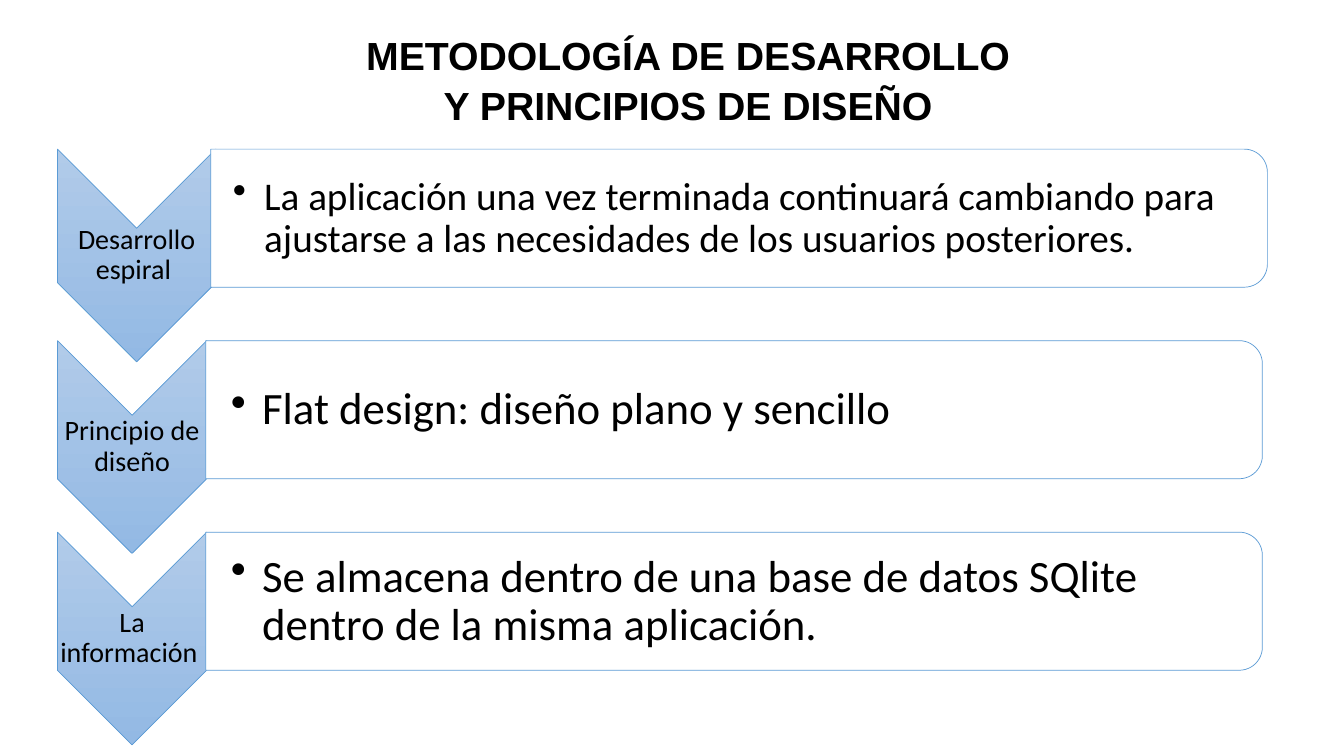
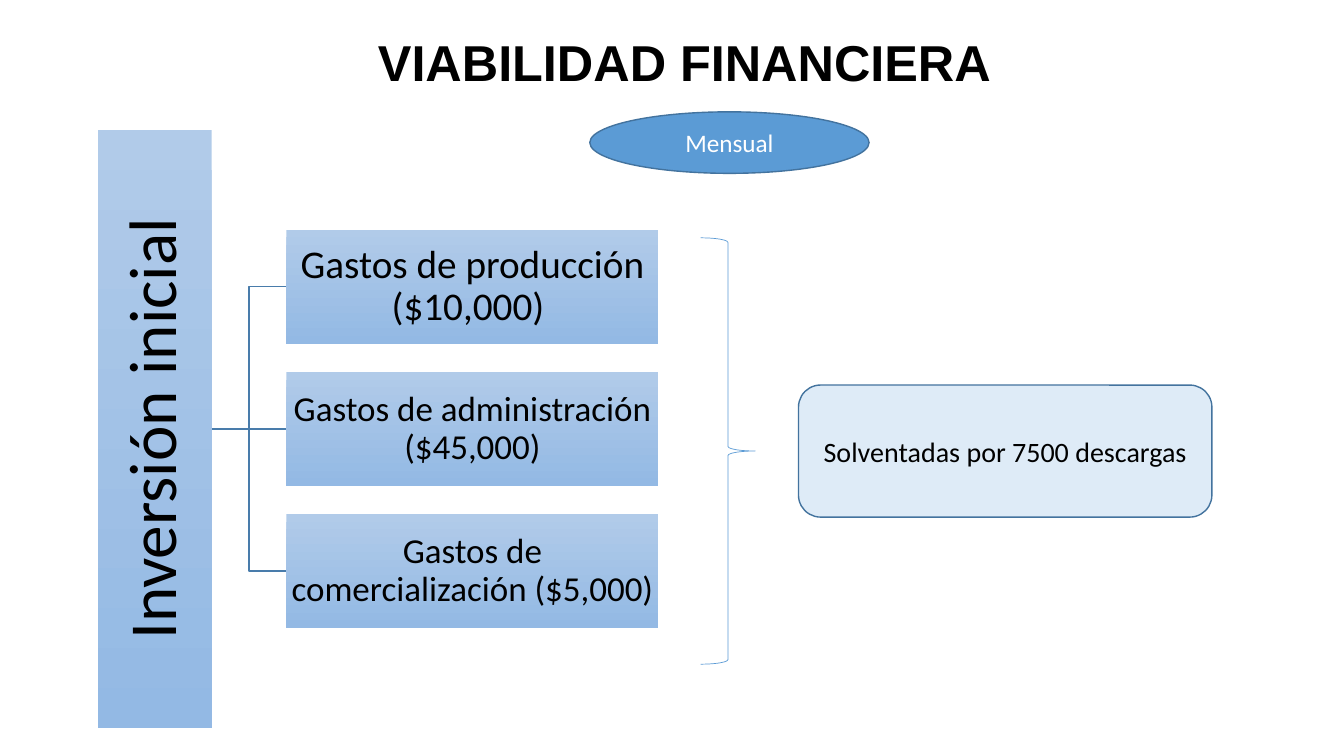
import pptx
import pptx.dml.color
import pptx.enum.shapes
import pptx.enum.text
import pptx.oxml.ns
import pptx.util
from dataclasses import dataclass
from lxml import etree

Inches = pptx.util.Inches
Pt = pptx.util.Pt
SHAPE = pptx.enum.shapes.MSO_SHAPE
LINK = pptx.enum.shapes.MSO_CONNECTOR
ALIGN = pptx.enum.text.PP_ALIGN
qn = pptx.oxml.ns.qn


@dataclass(frozen=True)
class Theme:
    heading: str = "Arial"
    body: str = "Calibri"
    text: str = "000000"
    white: str = "FFFFFF"
    accent: str = "5B9BD5"
    outline: str = "43739E"
    branch: str = "497CAB"
    pale: str = "DEEBF7"
    gradient: tuple = ("B1CBE9", "93B9E4")
    hairline: float = 0.5
    line: float = 1
    title_size: int = 36
    long_title_size: int = 28
    root_size: int = 48
    large: int = 32
    medium: int = 28
    compact: int = 25
    label: int = 20
    small: int = 18


class Deck:
    def __init__(self, theme):
        self.theme = theme
        self.prs = pptx.Presentation()
        self.prs.slide_width = Inches(13.33)
        self.prs.slide_height = Inches(7.5)
        self.s = None

    def color(self, value):
        return pptx.dml.color.RGBColor.from_string(value)

    def slide(self):
        self.s = self.prs.slides.add_slide(self.prs.slide_layouts[6])
        bg = self.s.background.fill
        bg.solid()
        bg.fore_color.rgb = self.color(self.theme.white)

    def label(self, sp, text, size, color=None, font=None, bold=False,
              align=ALIGN.CENTER, spacing=1.0, margins=None, wrap=True):
        tf = sp.text_frame
        tf.word_wrap = wrap
        tf.vertical_anchor = pptx.enum.text.MSO_ANCHOR.MIDDLE
        if margins:
            sides = ("left", "top", "right", "bottom")
            for side, margin in zip(sides, margins):
                setattr(tf, f"margin_{side}", Inches(margin))
        p = tf.paragraphs[0]
        p.alignment = align
        p.line_spacing = spacing
        r = p.add_run()
        r.text = text
        for name, value in {"size": Pt(size), "bold": bold,
                            "name": font or self.theme.body}.items():
            setattr(r.font, name, value)
        r.font.color.rgb = self.color(color or self.theme.text)
        return p

    def text(self, x, y, w, h, text, size, **style):
        sp = self.s.shapes.add_textbox(*map(Inches, (x, y, w, h)))
        return sp, self.label(sp, text, size, **style)

    def title(self, x, y, w, h, text, size, wrap=True):
        sp, p = self.text(x, y, w, h, text, size, font=self.theme.heading,
                          bold=True, spacing=1.07, wrap=wrap)
        tf = sp.text_frame
        tf.vertical_anchor = pptx.enum.text.MSO_ANCHOR.TOP
        tf.auto_size = pptx.enum.text.MSO_AUTO_SIZE.SHAPE_TO_FIT_TEXT
        p.space_after = Pt(8)

    def bullet(self, x, y, w, h, text, size, inset):
        _, p = self.text(x, y, w, h, text, size, align=ALIGN.LEFT,
                         spacing=0.9, margins=(inset, 0.02, 0.02, 0.02))
        pPr = p._p.get_or_add_pPr()
        indent = Inches(0.31)
        pPr.set("marL", str(indent))
        pPr.set("indent", str(-indent))
        etree.SubElement(pPr, qn("a:buChar")).set("char", "•")

    def shape(self, kind, x, y, w, h, fill=None, line=None, width=1, turn=0):
        if turn:
            x, y, w, h = x + (w - h) / 2, y + (h - w) / 2, h, w
        sp = self.s.shapes.add_shape(kind, *map(Inches, (x, y, w, h)))
        sp.rotation = turn
        sp.shadow.inherit = False
        if fill is None:
            sp.fill.background()
        elif isinstance(fill, tuple):
            self.shade(sp, fill)
        else:
            sp.fill.solid()
            sp.fill.fore_color.rgb = self.color(fill)
        if line:
            sp.line.color.rgb = self.color(line)
            sp.line.width = Pt(width)
        else:
            sp.line.fill.background()
        return sp

    def shade(self, sp, colors):
        sp.fill.gradient()
        sp.fill.gradient_angle = 270
        for stop, value in zip(sp.fill.gradient_stops, colors):
            stop.color.rgb = self.color(value)
        sp._element.spPr.find(qn("a:gradFill")).set("rotWithShape", "0")

    def connector(self, kind, x1, y1, x2, y2, color):
        c = self.s.shapes.add_connector(kind, *map(Inches, (x1, y1, x2, y2)))
        c.line.color.rgb = self.color(color)
        c.line.width = Pt(self.theme.line)
        etree.SubElement(c._element.spPr, qn("a:effectLst"))


def methodology(d):
    t = d.theme
    d.slide()
    d.title(3.49, 0.23, 6.67, 1.08,
            "METODOLOGÍA DE DESARROLLO Y PRINCIPIOS DE DISEÑO",
            t.long_title_size)
    rows = [
        ("Desarrollo espiral ",
         "La aplicación una vez terminada continuará cambiando para "
         "ajustarse a las necesidades de los usuarios posteriores.",
         t.medium, 0.22, 1.57, 2.09),
        ("Principio de diseño", "Flat design: diseño plano y sencillo",
         t.large, 0.25, 1.48, 2.04),
        ("La información ",
         "Se almacena dentro de una base de datos SQlite dentro de la "
         "misma aplicación.", t.large, 0.25, 1.48, 2.04),
    ]
    left, top, pitch = 0.57, 1.48, 1.9
    for i, (label, detail, size, inset, width, panel_x) in enumerate(rows):
        y = top + i * pitch
        d.shape(SHAPE.CHEVRON, left, y, width, 2.11, t.gradient,
                t.accent, t.hairline, turn=90)
        d.text(left, y + 0.74, width, 0.63, label, t.label,
               spacing=0.9, margins=(0.01,) * 4)
        d.shape(SHAPE.ROUND_2_SAME_RECTANGLE, panel_x, y, 10.48, 1.37,
                t.white, t.accent, t.hairline, turn=90)
        d.bullet(panel_x, y + 0.07, 10.42, 1.24, detail, size, inset)


def viability(d):
    t = d.theme
    d.slide()
    d.title(3.62, 0.22, 6.34, 0.72, "VIABILIDAD FINANCIERA", t.title_size,
            wrap=False)
    expenses = [
        ("Gastos de producción ($10,000) ", t.medium, LINK.ELBOW),
        ("Gastos de administración ($45,000)", t.compact, LINK.STRAIGHT),
        ("Gastos de comercialización ($5,000)", t.compact, LINK.ELBOW),
    ]
    root_x, root_y, root_h = 0.97, 1.29, 5.93
    box_x, box_y, box_h, pitch = 2.84, 2.28, 1.13, 1.41
    middle = box_y + pitch + box_h / 2
    for i, (label, size, kind) in enumerate(expenses):
        y = box_y + i * pitch
        d.connector(kind, root_x + box_h, middle, box_x, y + box_h / 2,
                    t.branch)
        box = d.shape(SHAPE.RECTANGLE, box_x, y, 3.69, box_h, t.gradient)
        d.label(box, label, size, spacing=0.9, margins=(0.02,) * 4)
    root = d.shape(SHAPE.RECTANGLE, root_x, root_y, box_h, root_h,
                   t.gradient, turn=270)
    d.label(root, "Inversión inicial", t.root_size, spacing=0.9,
            margins=(0.03,) * 4)
    d.shape(SHAPE.RIGHT_BRACE, 6.95, 2.36, 0.54, 4.23, line=t.accent,
            width=t.hairline)
    result = d.shape(SHAPE.ROUNDED_RECTANGLE, 7.92, 3.82, 4.1, 1.31,
                     t.pale, t.outline, t.line)
    d.label(result, "Solventadas por 7500 descargas", t.label)
    period = d.shape(SHAPE.OVAL, 5.85, 1.11, 2.77, 0.61, t.accent,
                     t.outline, t.line)
    d.label(period, "Mensual", t.small, t.white)


deck = Deck(Theme())
methodology(deck)
viability(deck)
deck.prs.save("out.pptx")
